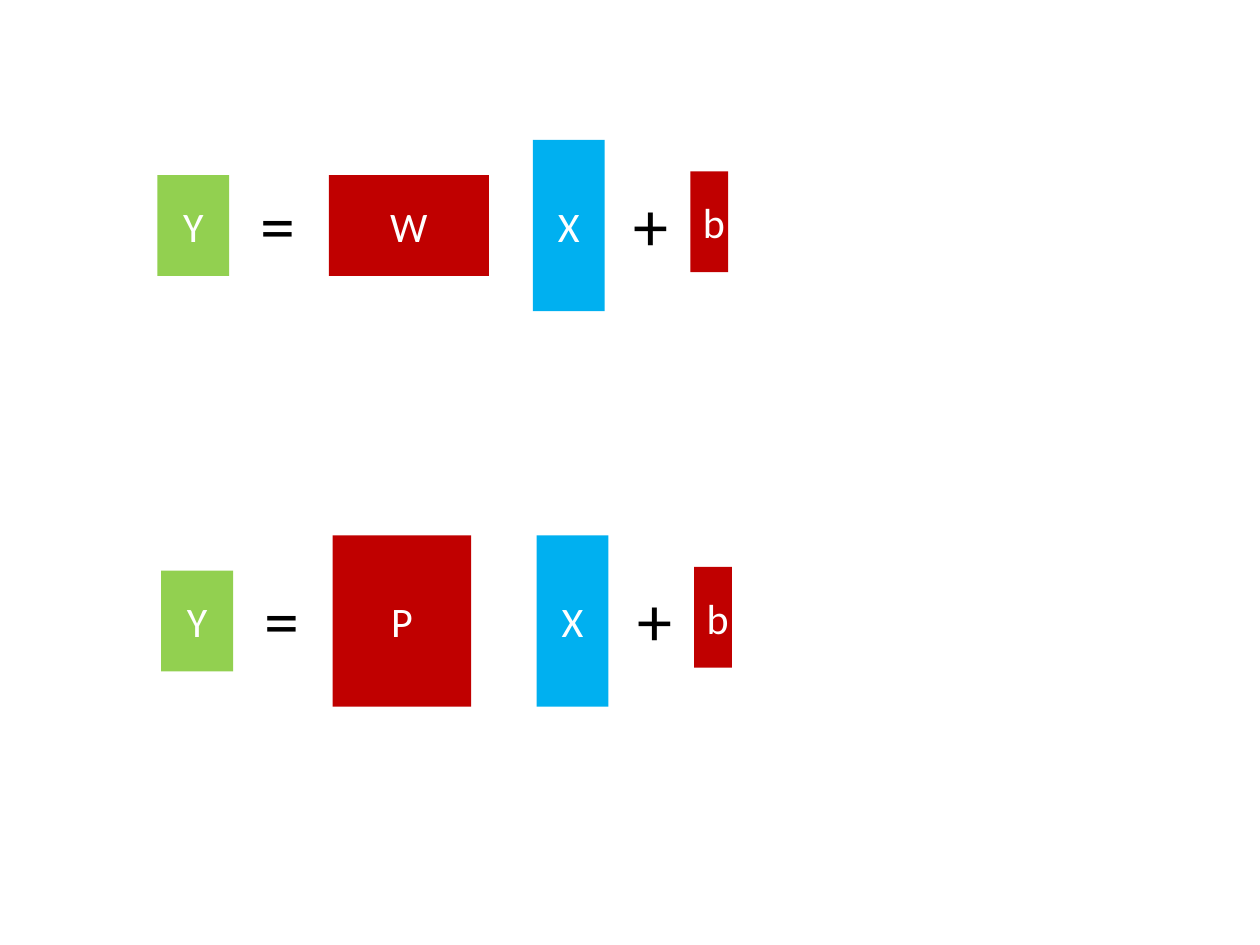
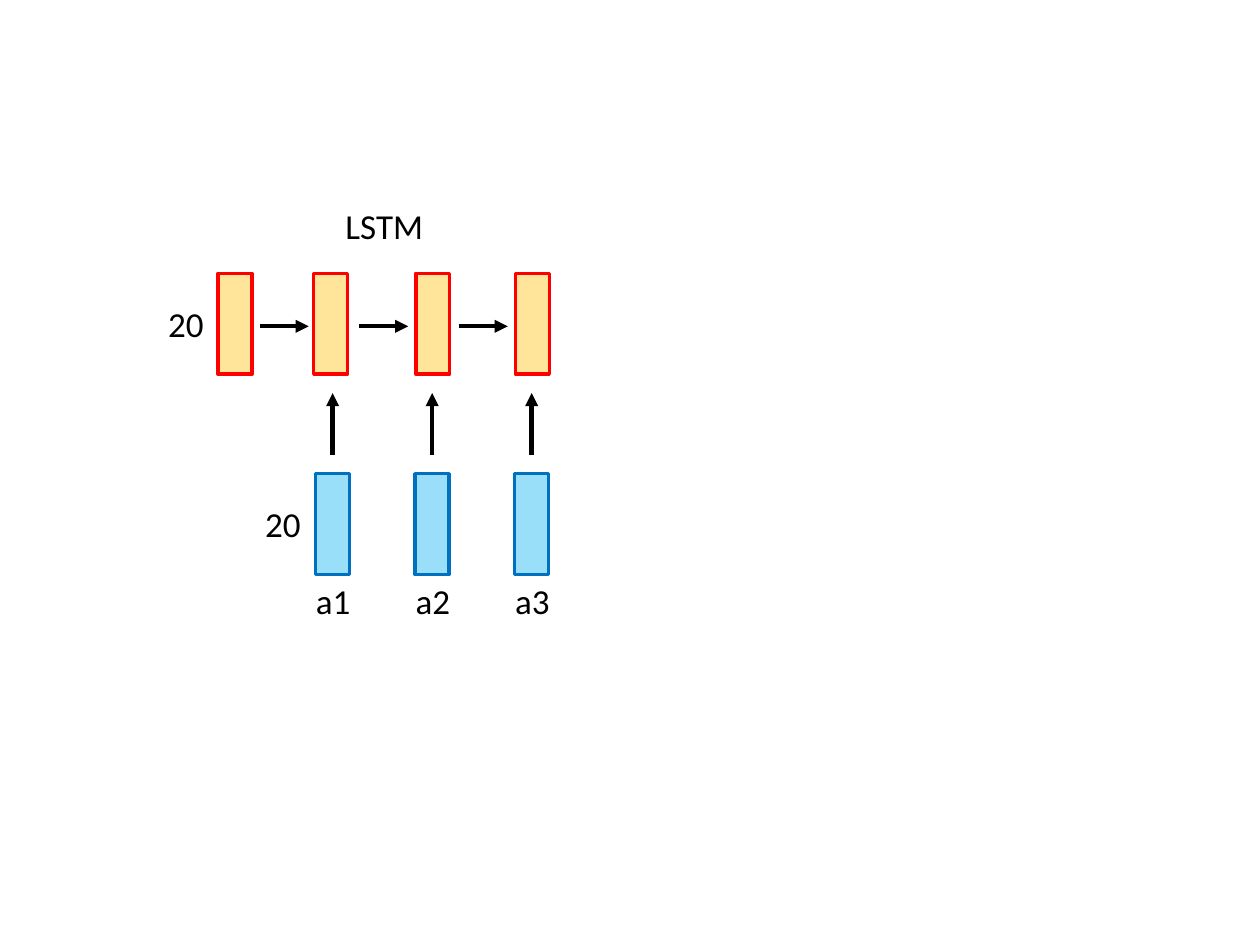
from pptx import Presentation
from pptx.dml.color import RGBColor
from pptx.enum.shapes import MSO_CONNECTOR, MSO_SHAPE
from pptx.enum.text import MSO_ANCHOR, MSO_AUTO_SIZE, PP_ALIGN
from pptx.oxml.ns import qn
from pptx.util import Inches, Pt
from lxml import etree

FONT = "Calibri"
BLACK = RGBColor(0x00, 0x00, 0x00)
WHITE = RGBColor(0xFF, 0xFF, 0xFF)
CRIMSON = RGBColor(0xC0, 0x00, 0x00)
SKY = RGBColor(0x00, 0xB0, 0xF0)
GREEN = RGBColor(0x92, 0xD0, 0x50)
AMBER = RGBColor(0xFF, 0xC0, 0x00)
RED = RGBColor(0xFF, 0x00, 0x00)
BLUE = RGBColor(0x00, 0x70, 0xC0)

CELL_W, CELL_H = 0.27, 0.8
STEP = 0.79
FIRST_CENTER = 2.64


def write(shape, text, size, color, align):
    """Put one formatted line of text into a shape."""
    paragraph = shape.text_frame.paragraphs[0]
    paragraph.alignment = align
    run = paragraph.add_run()
    run.text = text
    run.font.name = FONT
    run.font.size = Pt(size)
    run.font.color.rgb = color


def add_box(slide, left, top, width, height, fill):
    """Add a plain filled rectangle without an outline."""
    box = slide.shapes.add_shape(MSO_SHAPE.RECTANGLE, Inches(left), Inches(top),
                                 Inches(width), Inches(height))
    box.shadow.inherit = False
    box.fill.solid()
    box.fill.fore_color.rgb = fill
    box.line.fill.background()
    return box


def add_matrix(slide, name, left, top, width, height, fill):
    """Add a rectangle that carries the name of a matrix."""
    box = add_box(slide, left, top, width, height, fill)
    box.text_frame.vertical_anchor = MSO_ANCHOR.MIDDLE
    write(box, name, 24, WHITE, PP_ALIGN.CENTER)


def add_cell(slide, left, top, fill, outline):
    """Add an outlined vector cell with a 40 % opaque fill."""
    cell = add_box(slide, left, top, CELL_W, CELL_H, fill)
    color = cell.fill._xPr.find(qn("a:solidFill"))[0]
    etree.SubElement(color, qn("a:alpha"), val="40000")
    cell.line.color.rgb = outline
    cell.line.width = Pt(2)


def add_text(slide, text, left, top, width, height, size=20,
             align=PP_ALIGN.CENTER, wrap=True):
    """Add a text box that grows with its text."""
    box = slide.shapes.add_textbox(Inches(left), Inches(top), Inches(width), Inches(height))
    box.text_frame.word_wrap = wrap
    box.text_frame.auto_size = MSO_AUTO_SIZE.SHAPE_TO_FIT_TEXT
    write(box, text, size, BLACK, align)


def add_arrow(slide, x1, y1, x2, y2):
    """Add a black arrow that points to its second end."""
    arrow = slide.shapes.add_connector(MSO_CONNECTOR.STRAIGHT, Inches(x1), Inches(y1),
                                       Inches(x2), Inches(y2))
    arrow.line.color.rgb = BLACK
    arrow.line.width = Pt(2.5)
    etree.SubElement(arrow.line._get_or_add_ln(), qn("a:tailEnd"), type="triangle")
    etree.SubElement(arrow._element.spPr, qn("a:effectLst"))


def add_equation(slide, left, top, weight, weight_width, weight_height):
    """Draw Y = weight X + b, with all parts placed from the left of Y."""
    x_height = 1.36
    y_top = top + 0.28
    weight_top = top + (x_height - weight_height) / 2
    add_matrix(slide, weight, left + 1.36, weight_top, weight_width, weight_height, CRIMSON)
    add_matrix(slide, "X", left + 2.98, top, 0.57, x_height, SKY)
    add_matrix(slide, "Y", left, y_top, 0.57, 0.8, GREEN)
    add_matrix(slide, "b", left + 4.23, top + 0.25, 0.3, 0.8, CRIMSON)
    for sign, offset in (("=", 0.72), ("+", 3.68)):
        add_text(slide, sign, left + offset, y_top, 0.48, 0.77, 40, PP_ALIGN.LEFT, False)


def build_equations(slide):
    """Compare the linear layer with weights W and P."""
    add_equation(slide, 1.25, 1.11, "W", 1.27, 0.8)
    add_equation(slide, 1.28, 4.25, "P", 1.1, 1.36)


def build_lstm(slide):
    """Draw the unrolled LSTM with its three inputs."""
    state_top, input_top = 2.17, 3.76
    add_text(slide, "LSTM", 2.62, 1.57, 0.86, 0.44)
    add_text(slide, "20", 1.22, 2.35, 0.51, 0.44)
    add_text(slide, "20", 1.99, 3.94, 0.51, 0.44)
    for state_left in (1.73, 2.49, 3.3, 4.09):
        add_cell(slide, state_left, state_top, AMBER, RED)
    for step in range(3):
        center = FIRST_CENTER + step * STEP
        add_text(slide, f"a{step + 1}", center - 0.28, 4.55, 0.57, 0.44)
        add_cell(slide, center - CELL_W / 2, input_top, SKY, BLUE)
        add_arrow(slide, center, 3.61, center, 3.12)
        add_arrow(slide, center - 0.58, 2.59, center - 0.19, 2.59)


def main():
    """Build both slides and save the presentation."""
    deck = Presentation()
    deck.slide_width, deck.slide_height = Inches(10), Inches(7.5)
    blank = deck.slide_layouts[6]
    for build in (build_equations, build_lstm):
        build(deck.slides.add_slide(blank))
    deck.save("out.pptx")


main()
